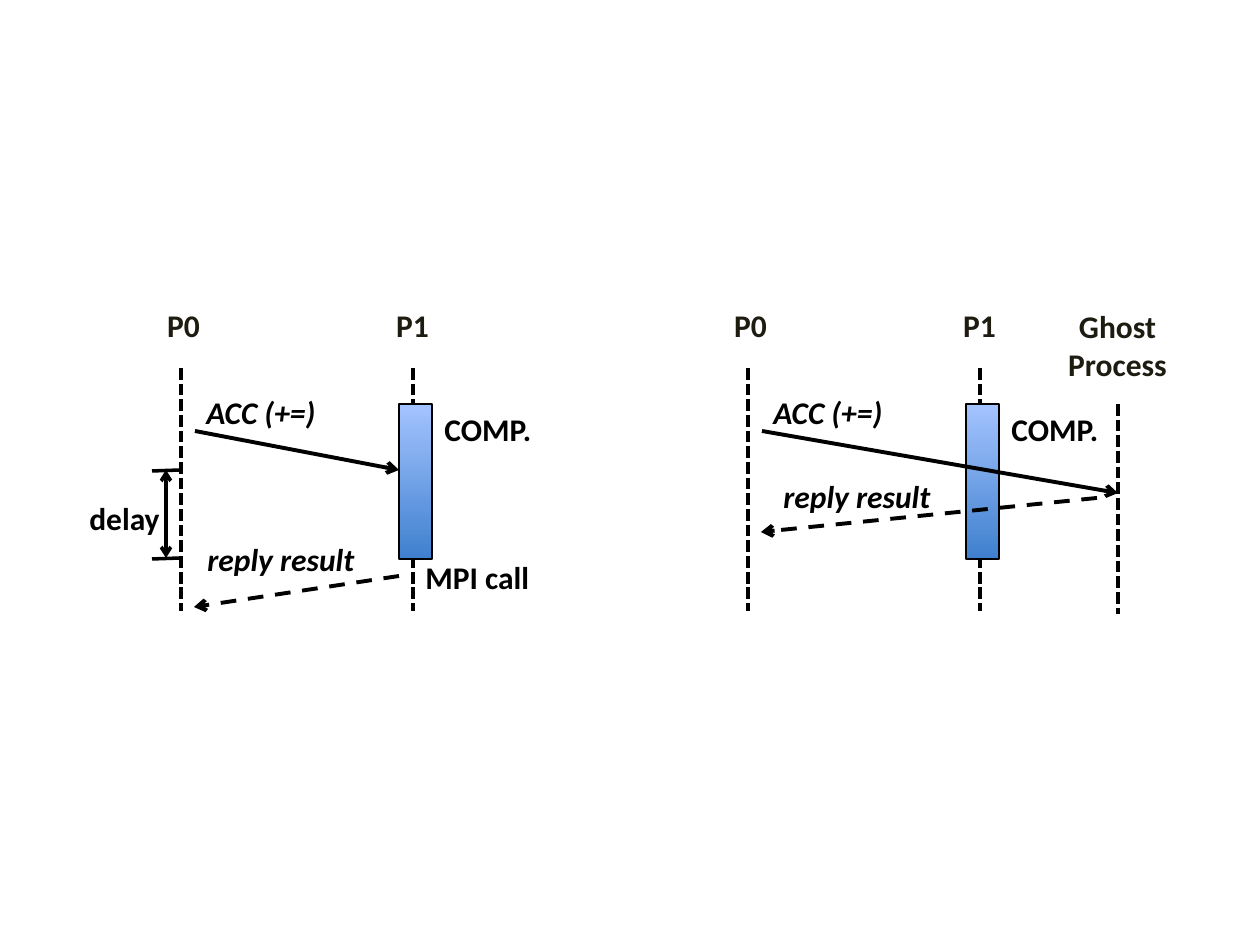
from dataclasses import dataclass
from lxml.etree import SubElement as Sub
from pptx import Presentation
from pptx.dml.color import RGBColor as RGB
from pptx.enum.dml import MSO_LINE as Dash
from pptx.enum.shapes import MSO_CONNECTOR as Link, MSO_SHAPE as Shape
from pptx.enum.text import MSO_AUTO_SIZE as Fit, PP_ALIGN as Align
from pptx.oxml.ns import qn
from pptx.util import Pt

PX = 914400 // 126
BLACK = RGB(0x00, 0x00, 0x00)
INK = RGB(0x1E, 0x1C, 0x11)
DEEP = RGB(0x3F, 0x80, 0xCE)
PALE = RGB(0xA4, 0xC4, 0xFF)


@dataclass
class Panel:
    """A group whose members are placed in pixels from its left top corner."""

    group: object
    left: int
    top: int

    def spot(self, x, y):
        """Turn a place in the panel into slide lengths."""
        return (self.left + x) * PX, (self.top + y) * PX

    def label(self, text, x, y, wide, high=50, color=BLACK, slant=None,
              align=Align.LEFT, wrap=False):
        """Write one bold label."""
        box = self.group.shapes.add_textbox(
            *self.spot(x, y), wide * PX, high * PX)
        frame = box.text_frame
        frame.word_wrap = wrap
        frame.auto_size = Fit.SHAPE_TO_FIT_TEXT
        para = frame.paragraphs[0]
        para.alignment = align
        run = para.add_run()
        run.text = text
        font = run.font
        font.name, font.size = "Calibri", Pt(18)
        font.bold, font.italic = True, slant
        font.color.rgb = color

    def line(self, start, end, width=2.25, dash=None, ends=()):
        """Draw a straight line with arrows at the named ends."""
        link = self.group.shapes.add_connector(
            Link.STRAIGHT, *self.spot(*start), *self.spot(*end))
        link.line.color.rgb = BLACK
        link.line.width = Pt(width)
        if dash:
            link.line.dash_style = dash
        props = link.element.spPr
        for name in ends:
            Sub(props.find(qn("a:ln")), qn(f"a:{name}"), type="arrow")
        Sub(props, qn("a:effectLst"))

    def bar(self, x, y, wide, high):
        """Draw the shaded computation bar."""
        bar = self.group.shapes.add_shape(
            Shape.RECTANGLE, *self.spot(x, y), wide * PX, high * PX)
        bar.shadow.inherit = False
        bar.fill.gradient()
        bar.fill.gradient_angle = 90
        for stop, color in zip(bar.fill.gradient_stops, (DEEP, PALE)):
            stop.color.rgb = color
        bar.line.color.rgb = BLACK
        bar.line.width = Pt(0.75)


def base(slide, left, top, hit, reply, note):
    """Draw the two processes and the messages both panels share."""
    panel = Panel(slide.shapes.add_group_shape(), left, top)
    panel.label("P0", 77, 0, 59, color=INK, align=Align.CENTER)
    panel.label("P1", 246, 0, 179, color=INK, align=Align.CENTER, wrap=True)
    for x in (336, 104):
        panel.line((x, 68), (x, 311), dash=Dash.SQUARE_DOT)
    panel.bar(322, 104, 33, 155)
    panel.label("COMP.", 355, 104, 117)
    panel.label("ACC (+=)", 117, 87, 205, slant=True, wrap=True)
    panel.line((118, 131), hit, ends=("tailEnd",))
    panel.line(*reply, dash=Dash.DASH, ends=("tailEnd",))
    panel.label("reply result", *note, 181, slant=True)
    return panel


def delayed(slide, left, top):
    """Draw the exchange that waits for the MPI call."""
    panel = base(slide, left, top, (322, 170),
                 ((322, 276), (117, 307)), (118, 234))
    panel.label("MPI call", 336, 252, 131)
    panel.label("delay", 0, 193, 98)
    for y in (170, 258):
        panel.line((104, y), (75, y + 1), 2)
    panel.line((89, 170), (89, 258), 2, ends=("headEnd", "tailEnd"))


def ghost(slide, left, top):
    """Draw the exchange served by the ghost process."""
    panel = base(slide, left, top, (474, 193),
                 ((453, 198), (117, 232)), (127, 171))
    panel.label("Ghost Process", 408, 1, 131, 89, INK,
                align=Align.CENTER, wrap=True)
    panel.line((474, 104), (474, 314), dash=Dash.SQUARE_DOT)


def main():
    """Build and save the slide."""
    deck = Presentation()
    deck.slide_width, deck.slide_height = 1260 * PX, 945 * PX
    slide = deck.slides.add_slide(deck.slide_layouts[6])
    delayed(slide, 77, 300)
    ghost(slide, 644, 300)
    deck.save("out.pptx")


main()
